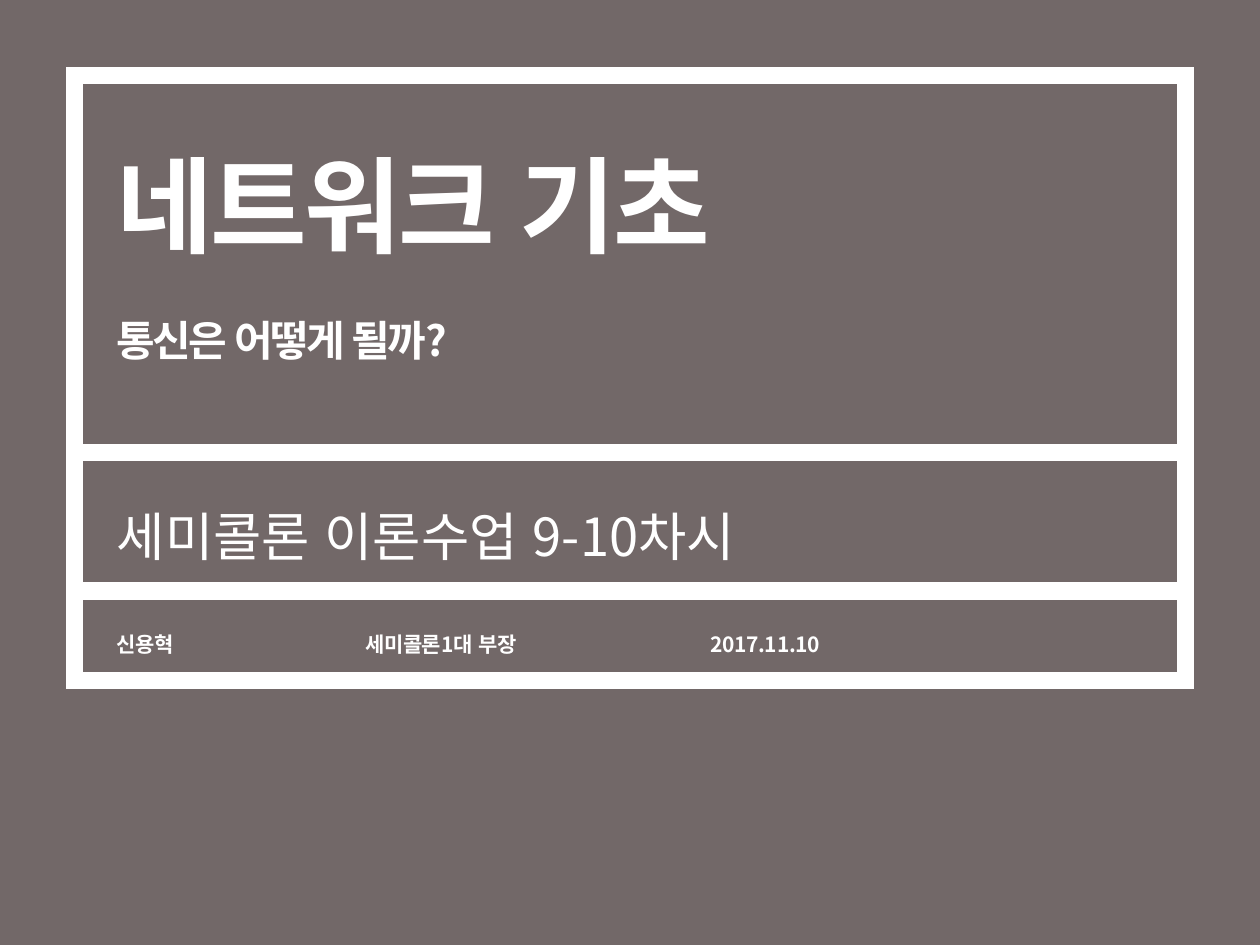
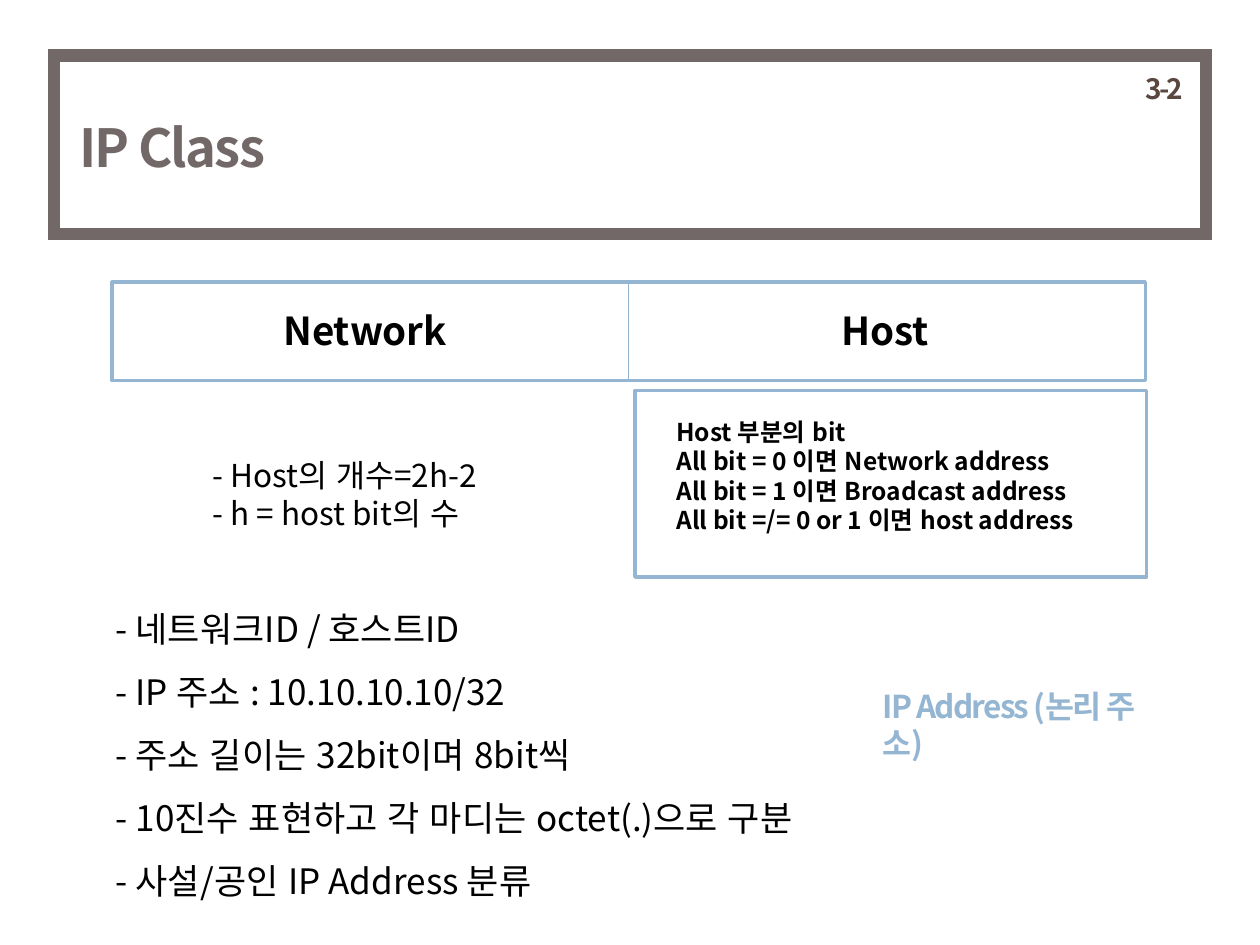
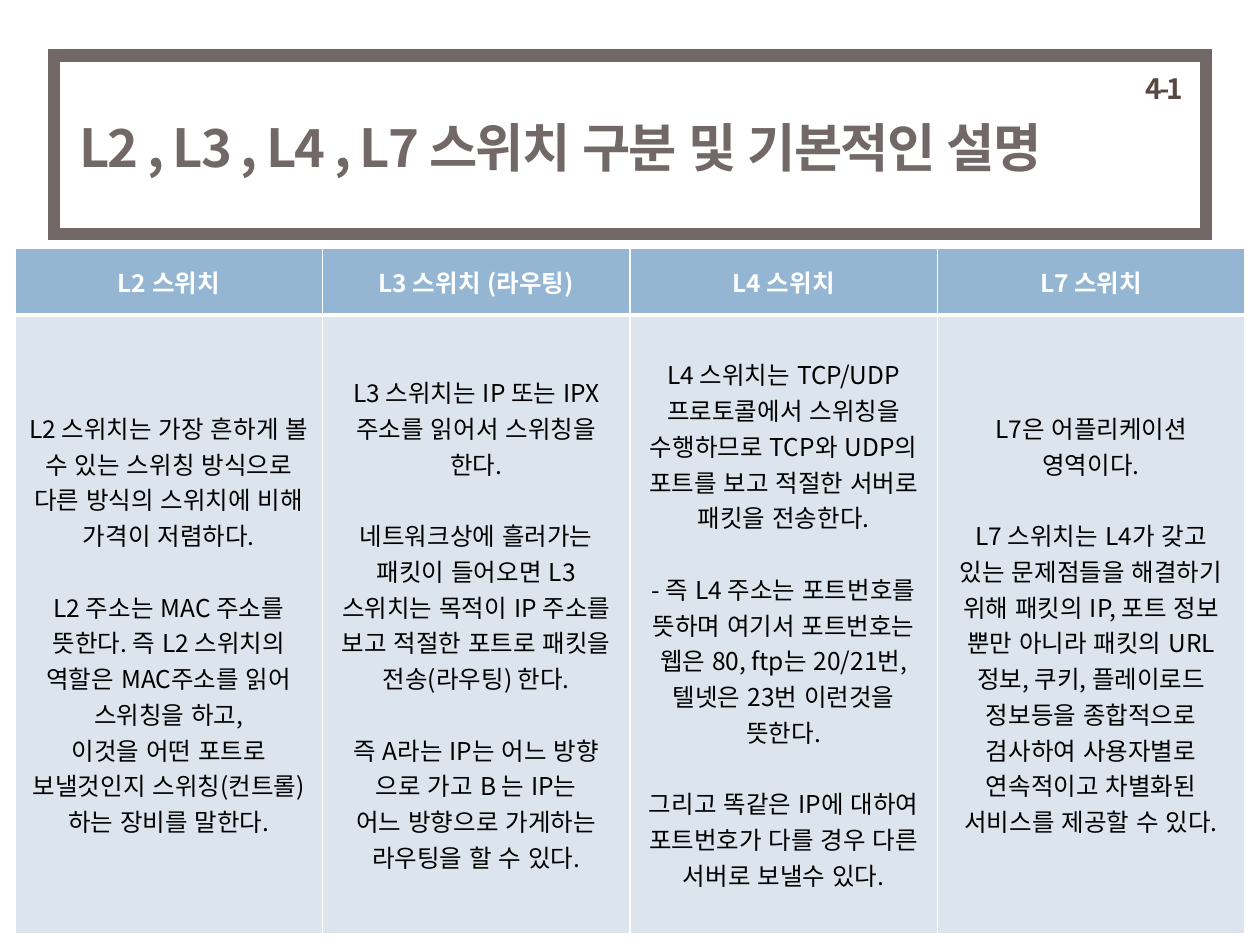
"""Build three slides on network basics."""
from dataclasses import dataclass

from lxml import etree
from pptx import Presentation
from pptx import util as u
from pptx.dml.color import RGBColor
from pptx.enum import shapes, text
from pptx.oxml import ns

FONT = "Noto Sans CJK KR"
COLORS = {
    "taupe": "726868",
    "brown": "594740",
    "blue": "94B6D2",
    "divider": "8FB2CF",
    "pale": "DCE5EE",
    "white": "FFFFFF",
    "black": "000000",
}
BLANK_LINE = u.Pt(20.5)

HOST_RULES = [
    "Host 부분의 bit",
    "All bit = 0 이면 Network address",
    "All bit = 1 이면 Broadcast address",
    "All bit =/= 0 or 1 이면 host address",
]
HOST_COUNT = ["- Host의 개수=2h-2", "- h = host bit의 수"]
ADDRESS_NOTES = [
    "- 네트워크ID / 호스트ID",
    "- IP 주소 : 10.10.10.10/32",
    "- 주소 길이는 32bit이며 8bit씩",
    "- 10진수 표현하고 각 마디는 octet(.)으로 구분",
    "- 사설/공인 IP Address 분류",
]
SWITCHES = {
    "L2 스위치": [
        ["L2 스위치는 가장 흔하게 볼 수 있는 스위칭 방식으로 다른 방식의 스위치에 비해 가격이 저렴하다."],
        ["L2 주소는 MAC 주소를",
         "뜻한다. 즉 L2 스위치의 역할은 MAC주소를 읽어",
         "스위칭을 하고,",
         "이것을 어떤 포트로 보낼것인지 스위칭(컨트롤)하는 장비를 말한다."],
    ],
    "L3 스위치 (라우팅)": [
        ["L3 스위치는 IP 또는 IPX", "주소를 읽어서 스위칭을", "한다."],
        ["네트워크상에 흘러가는",
         "패킷이 들어오면 L3 스위치는 목적이 IP 주소를 보고 적절한 포트로 패킷을 전송(라우팅) 한다."],
        ["즉 A라는 IP는 어느 방향", "으로 가고 B 는 IP는",
         "어느 방향으로 가게하는", "라우팅을 할 수 있다."],
    ],
    "L4 스위치": [
        ["L4 스위치는 TCP/UDP", "프로토콜에서 스위칭을",
         "수행하므로 TCP와 UDP의 포트를 보고 적절한 서버로 패킷을 전송한다."],
        ["- 즉 L4 주소는 포트번호를 뜻하며 여기서 포트번호는 웹은 80, ftp는 20/21번, 텔넷은 23번 이런것을",
         "뜻한다."],
        ["그리고 똑같은 IP에 대하여 포트번호가 다를 경우 다른 서버로 보낼수 있다."],
    ],
    "L7 스위치": [
        ["L7은 어플리케이션 영역이다."],
        ["L7 스위치는 L4가 갖고",
         "있는 문제점들을 해결하기 위해 패킷의 IP, 포트 정보 뿐만 아니라 패킷의 URL",
         "정보, 쿠키, 플레이로드", "정보등을 종합적으로", "검사하여 사용자별로",
         "연속적이고 차별화된", "서비스를 제공할 수 있다."],
    ],
}


@dataclass
class Box:
    """A rectangle in inches."""
    left: float
    top: float
    width: float
    height: float

    def inner(self, dx, dy, width, height):
        """Return a box offset from this one's top left corner."""
        return Box(self.left + dx, self.top + dy, width, height)

    def lengths(self):
        """Return left, top, width and height as lengths."""
        return [u.Inches(n) for n in (self.left, self.top, self.width, self.height)]


def rgb(name):
    """Look up a named colour."""
    return RGBColor.from_string(COLORS[name])


def style(paragraph, size, color="black", bold=False, spacing=0):
    """Set the font and language of a whole paragraph."""
    font = paragraph.font
    font.size, font.bold = u.Pt(size), bold
    font.color.rgb = rgb(color)
    font.name = FONT
    properties = paragraph._p.get_or_add_pPr().get_or_add_defRPr()
    etree.SubElement(properties, ns.qn("a:ea"), typeface=FONT)
    properties.set("lang", "ko-KR")
    properties.set("altLang", "en-US")
    if spacing:
        properties.set("spc", str(int(spacing * 100)))


def add_paragraph(frame, content, is_first):
    """Return a paragraph with content, reusing the frame's first one."""
    paragraph = frame.paragraphs[0] if is_first else frame.add_paragraph()
    paragraph.text = content
    for run in paragraph.runs:
        run.font._element.set("lang", "ko-KR")
    return paragraph


def add_text(slide, box, lines, size, line_spacing=None, align=None,
             anchor=text.MSO_ANCHOR.TOP, **look):
    """Add a wrapping text box with one paragraph per line."""
    frame = slide.shapes.add_textbox(*box.lengths()).text_frame
    frame.word_wrap = True
    frame.vertical_anchor = anchor
    for index, line in enumerate(lines):
        paragraph = add_paragraph(frame, line, index == 0)
        paragraph.alignment = align
        paragraph.line_spacing = line_spacing
        style(paragraph, size, **look)
    return frame


def add_rectangle(slide, box, fill=None, line=None, width=0):
    """Add a plain rectangle, with square corners on thick outlines."""
    shape = slide.shapes.add_shape(shapes.MSO_SHAPE.RECTANGLE, *box.lengths())
    shape.shadow.inherit = False
    if fill:
        shape.fill.solid()
        shape.fill.fore_color.rgb = rgb(fill)
    else:
        shape.fill.background()
    if line:
        shape.line.color.rgb = rgb(line)
        shape.line.width = u.Pt(width)
    else:
        shape.line.fill.background()
    if width > 2:
        etree.SubElement(shape.line._get_or_add_ln(), ns.qn("a:miter"), lim="800000")
    return shape


def add_cover(slide, box):
    """Draw the cover's three stacked frames and their texts."""
    add_rectangle(slide, Box(0, 0, 10, 7.5), fill="taupe")
    top = 0
    for height in (2.99, 1.1, 0.71):
        add_rectangle(slide, box.inner(0, top, box.width, height), line="white", width=10)
        top += height
    title = add_text(slide, box.inner(0.24, 0.98, 7.8, 1.07),
                     ["네트워크 기초", "통신은 어떻게 될까?"], 60, u.Pt(56),
                     anchor=text.MSO_ANCHOR.MIDDLE, color="white", bold=True, spacing=-1.5)
    title.paragraphs[1].font.size = u.Pt(24)
    add_text(slide, box.inner(0.24, 3.07, 6.69, 0.87),
             ["세미콜론 이론수업 9-10차시"], 30, u.Pt(56), color="white")
    for dx, credit in ((0.24, "신용혁"), (2.21, "세미콜론1대 부장"), (4.95, "2017.11.10")):
        add_text(slide, box.inner(dx, 4.26, 2.4, 0.87), [credit], 12, 1.5,
                 color="white", bold=True, spacing=-0.2)


def add_header(slide, box, number, title):
    """Draw the framed title band with its section number."""
    add_rectangle(slide, box, line="taupe", width=7)
    add_text(slide, box.inner(7.26, 0.08, 1.8, 0.5), [number], 16,
             align=text.PP_ALIGN.RIGHT, color="brown", bold=True, spacing=-1.5)
    add_text(slide, box.inner(0.1, 0.47, 8.57, 0.5), [title], 30,
             anchor=text.MSO_ANCHOR.MIDDLE, color="taupe", bold=True, spacing=-1)


def add_address_diagram(slide, box):
    """Draw the network and host halves of an address and the host rules."""
    address = add_rectangle(slide, box.inner(0, 0, box.width, 0.78), "white", "blue", 2)
    divider = slide.shapes.add_connector(shapes.MSO_CONNECTOR.STRAIGHT, 0, 0, 0, 0)
    divider.begin_connect(address, 0)
    divider.end_connect(address, 2)
    divider.line.color.rgb = rgb("divider")
    divider.line.width = u.Pt(0.75)
    etree.SubElement(divider._element.spPr, ns.qn("a:effectLst"))
    for dx, part in ((1.26, "Network"), (5.69, "Host")):
        add_text(slide, box.inner(dx, 0.15, 2, 0.47), [part], 22, bold=True)
    add_rectangle(slide, box.inner(4.15, 0.86, 4.06, 1.48), "white", "blue", 2)
    add_text(slide, box.inner(4.38, 1.02, 3.52, 1.04), HOST_RULES, 14, bold=True)
    add_text(slide, box.inner(0.7, 1.33, 2.99, 0.71), HOST_COUNT, 18)


def add_address_notes(slide, box):
    """Write the address notes and their side label."""
    add_text(slide, box.inner(0, 0, 6.66, box.height), ADDRESS_NOTES, 20, 1.5)
    add_text(slide, box.inner(6.09, 0.79, 2.43, 0.4), ["IP Address (논리 주소)"], 18,
             color="blue", bold=True, spacing=-1)


def style_cell(cell, fill, bottom_width):
    """Give a cell white borders, a fill and a middle anchor."""
    properties = cell._tc.get_or_add_tcPr()
    for side, width in (("lnL", 1), ("lnR", 1), ("lnT", 1), ("lnB", bottom_width)):
        border = etree.SubElement(properties, ns.qn(f"a:{side}"), w=str(u.Pt(width)))
        solid = etree.SubElement(border, ns.qn("a:solidFill"))
        etree.SubElement(solid, ns.qn("a:srgbClr"), val=COLORS["white"])
    cell.fill.solid()
    cell.fill.fore_color.rgb = rgb(fill)
    cell.vertical_anchor = text.MSO_ANCHOR.MIDDLE


def fill_cell(cell, groups, **look):
    """Write centred groups of paragraphs, set apart by one line."""
    for group_index, group in enumerate(groups):
        for index, line in enumerate(group):
            is_first = group_index == index == 0
            paragraph = add_paragraph(cell.text_frame, line, is_first)
            paragraph.alignment = text.PP_ALIGN.CENTER
            if index == 0 and not is_first:
                paragraph.space_before = BLANK_LINE
            style(paragraph, 14, **look)


def add_switch_table(slide, box):
    """Compare the switch types, one column each."""
    table = slide.shapes.add_table(2, len(SWITCHES), *box.lengths()).table
    header_height = 0.53
    table.rows[0].height = u.Inches(header_height)
    table.rows[1].height = u.Inches(box.height - header_height)
    for column, (name, groups) in enumerate(SWITCHES.items()):
        table.columns[column].width = u.Inches(box.width / len(SWITCHES))
        header, body = table.cell(0, column), table.cell(1, column)
        style_cell(header, "blue", 3)
        fill_cell(header, [[name]], color="white", bold=True)
        style_cell(body, "pale", 1)
        fill_cell(body, groups)


def main():
    """Build and save the presentation."""
    presentation = Presentation()
    presentation.slide_width, presentation.slide_height = u.Inches(10), u.Inches(7.5)
    cover, address, switches = (
        presentation.slides.add_slide(presentation.slide_layouts[6]) for _ in range(3))
    header = Box(0.43, 0.44, 9.14, 1.42)

    add_cover(cover, Box(0.59, 0.6, 8.82, 4.8))

    add_header(address, header, "3-2", "IP Class")
    add_address_diagram(address, Box(0.89, 2.24, 8.2, 2.34))
    add_address_notes(address, Box(0.82, 4.61, 8.52, 2.63))

    add_header(switches, header, "4-1", "L2 , L3 , L4 , L7 스위치 구분 및 기본적인 설명")
    add_switch_table(switches, Box(0.12, 1.97, 9.76, 5.44))

    presentation.save("out.pptx")


if __name__ == "__main__":
    main()
